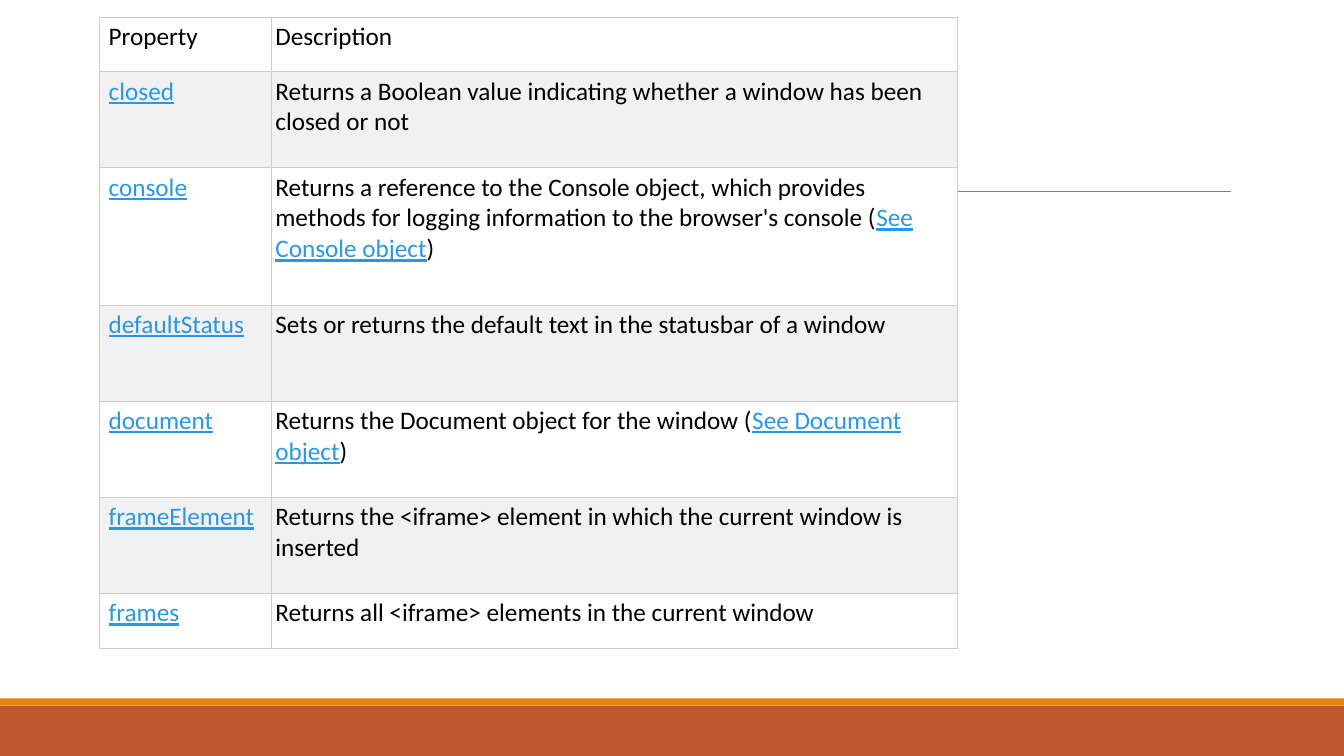
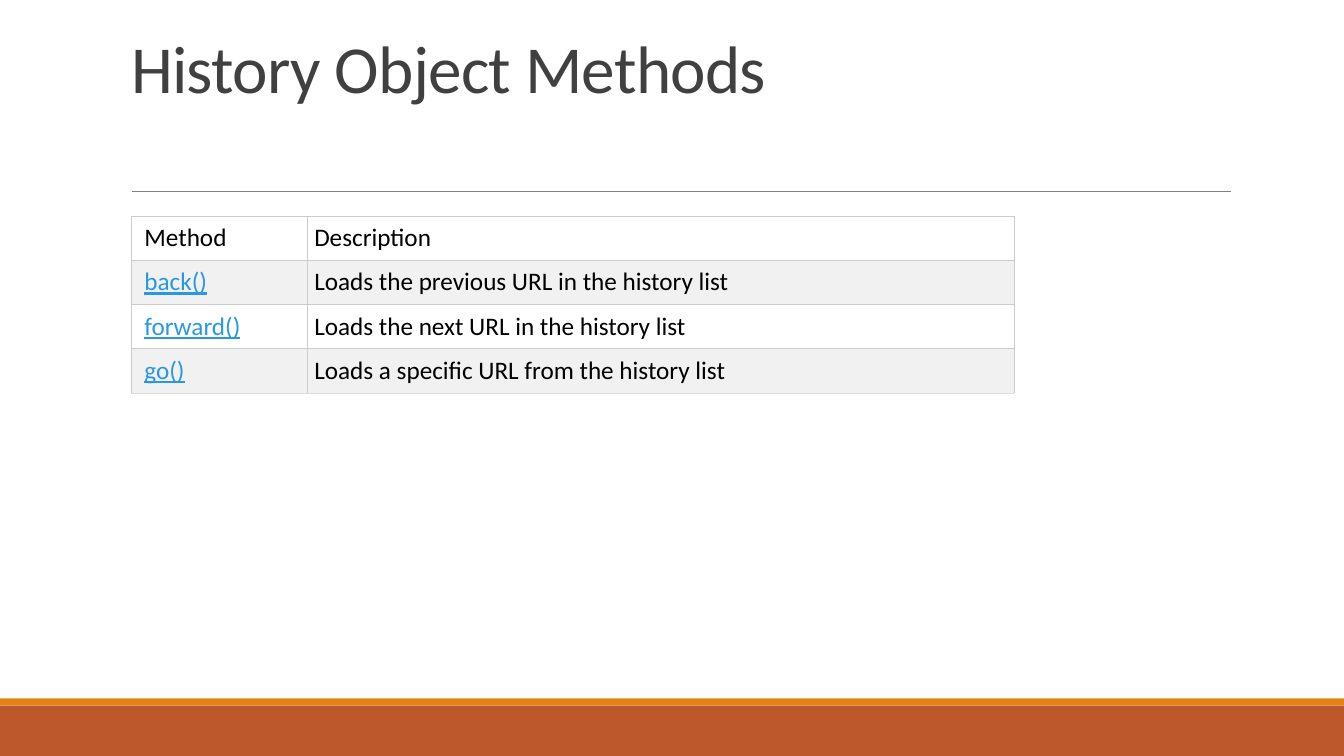
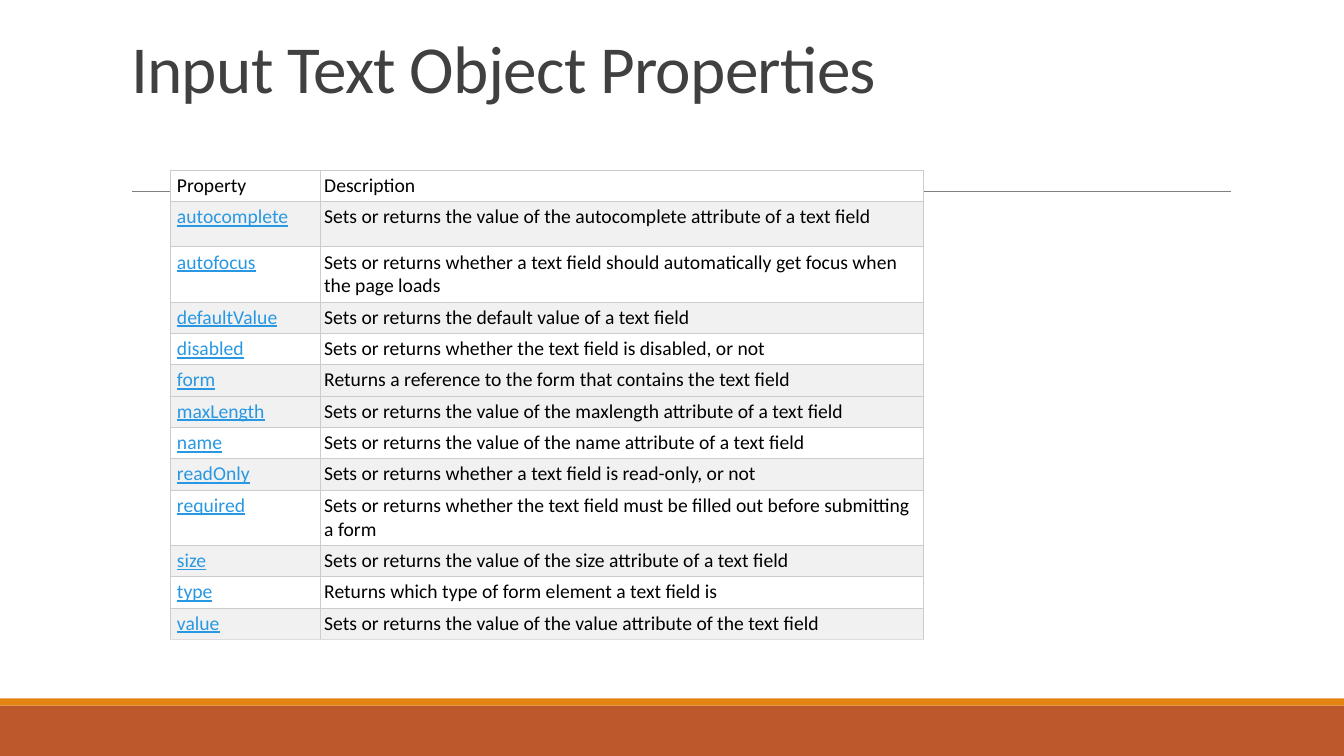
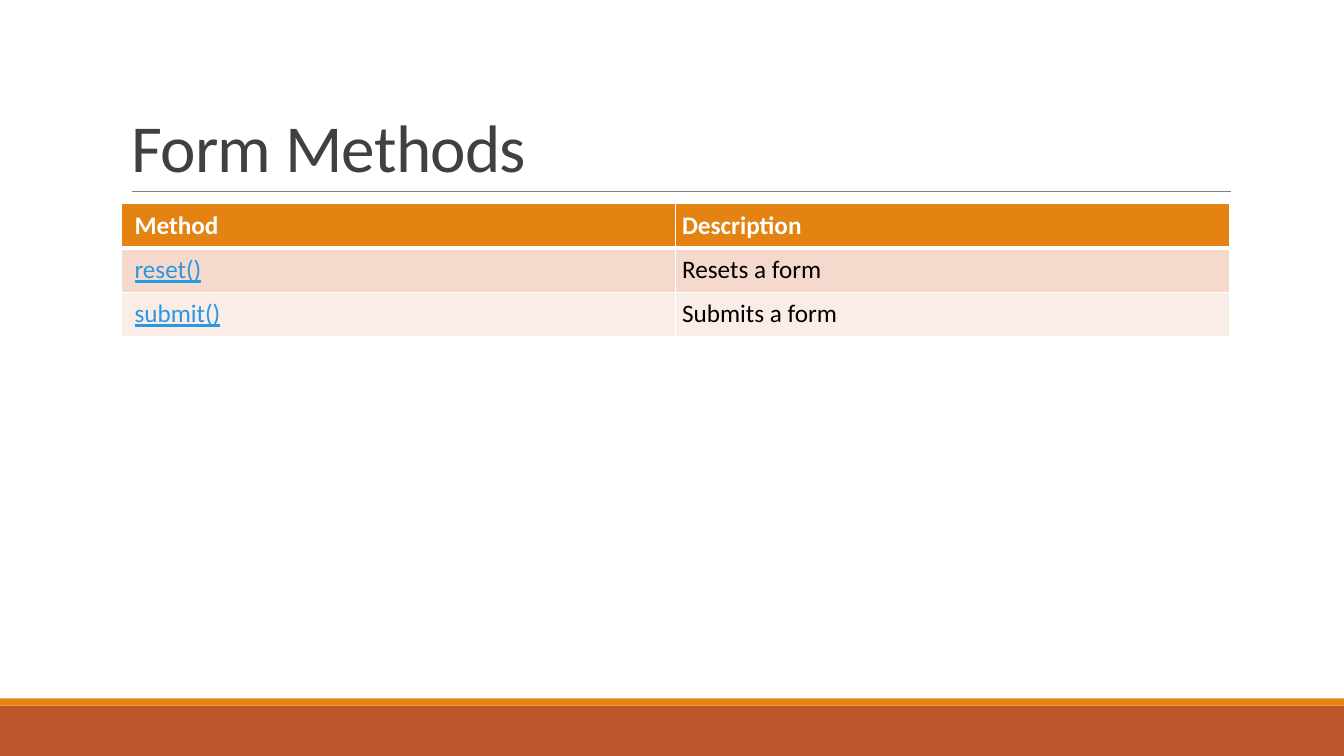
"""Build four reference slides of browser objects with tables on a shared master."""
from dataclasses import dataclass
from typing import Any, Optional

from lxml import etree
from pptx import Presentation
from pptx import util as u
from pptx.dml import color as dml
from pptx.enum import shapes, text
from pptx.oxml import ns

FONT = "Calibri"
WHITE, BLACK, GREY = "FFFFFF", "000000", "F1F1F1"
RUST, ORANGE, RULE = "BD582C", "E48312", "808080"
TITLE_COLOUR, LINK = "404040", "2998E3"
BORDER, LAST_BORDER = "CCCCCC", "DDDDDD"
WIDTH, HEIGHT = 33.87, 19.05
RAISED_TITLE_INSET = 2.13


@dataclass
class Band:
    """A full-width band at the foot of every slide."""
    top: float
    height: float
    fill: str


@dataclass
class TableSpec:
    """Content, geometry in centimetres and look of one table."""
    left: float
    top: float
    columns: tuple[float, float]
    heights: list[float]
    rows: list[tuple[str, str]]
    fills: list[str]
    first_inset: float
    inset: float
    size: int = 18
    border: str = BORDER
    weight: float = 0.6
    last_border: str = BORDER
    header_colour: str = BLACK
    header_bold: bool = False
    header_weight: float = 0.6


@dataclass
class Page:
    """One slide: an optional title and its table."""
    table: TableSpec
    title: Optional[str] = None
    raised: bool = False


BANDS = [Band(17.78, 1.27, RUST), Band(17.6, 0.18, ORANGE)]

WINDOW_ROWS = [
    ("Property", "Description"),
    ("closed", "Returns a Boolean value indicating whether a window has been closed or not"),
    ("console", "Returns a reference to the Console object, which provides methods for logging "
                "information to the browser's console (|See Console object|)"),
    ("defaultStatus", "Sets or returns the default text in the statusbar of a window"),
    ("document", "Returns the Document object for the window (|See Document object|)"),
    ("frameElement", "Returns the <iframe> element in which the current window is inserted"),
    ("frames", "Returns all <iframe> elements in the current window"),
]
HISTORY_ROWS = [
    ("Method", "Description"),
    ("back()", "Loads the previous URL in the history list"),
    ("forward()", "Loads the next URL in the history list"),
    ("go()", "Loads a specific URL from the history list"),
]
INPUT_ROWS = [
    ("Property", "Description"),
    ("autocomplete", "Sets or returns the value of the autocomplete attribute of a text field"),
    ("autofocus", "Sets or returns whether a text field should automatically get focus when "
                  "the page loads"),
    ("defaultValue", "Sets or returns the default value of a text field"),
    ("disabled", "Sets or returns whether the text field is disabled, or not"),
    ("form", "Returns a reference to the form that contains the text field"),
    ("maxLength", "Sets or returns the value of the maxlength attribute of a text field"),
    ("name", "Sets or returns the value of the name attribute of a text field"),
    ("readOnly", "Sets or returns whether a text field is read-only, or not"),
    ("required", "Sets or returns whether the text field must be filled out before submitting "
                 "a form"),
    ("size", "Sets or returns the value of the size attribute of a text field"),
    ("type", "Returns which type of form element a text field is"),
    ("value", "Sets or returns the value of the value attribute of the text field"),
]
FORM_ROWS = [
    ("Method", "Description"),
    ("reset()", "Resets a form"),
    ("submit()", "Submits a form"),
]

PAGES = [
    Page(TableSpec(2.51, 0.43, (4.32, 17.3), [1.38, 2.42, 3.46, 2.42, 2.42, 2.42, 1.38],
                   WINDOW_ROWS, [WHITE, GREY] * 3 + [WHITE], 0.23, 0.11)),
    Page(TableSpec(3.3, 5.44, (4.45, 17.8), [1.1] * 4, HISTORY_ROWS, [WHITE, GREY] * 2,
                   0.34, 0.17, last_border=LAST_BORDER),
         "History Object Methods", raised=True),
    Page(TableSpec(4.29, 4.29, (3.79, 15.19),
                   [0.79, 1.14, 1.39] + [0.79] * 6 + [1.39] + [0.79] * 3,
                   INPUT_ROWS, [WHITE, GREY] * 3 + [GREY, WHITE] * 3 + [GREY],
                   0.17, 0.09, size=14, last_border=LAST_BORDER),
         "Input Text Object Properties", raised=True),
    Page(TableSpec(3.05, 5.13, (13.97, 13.97), [1.1] * 3, FORM_ROWS,
                   [ORANGE, "F5D9CC", "FAEDE7"], 0.34, 0.17, border=WHITE, weight=1,
                   last_border=WHITE, header_colour=WHITE, header_bold=True,
                   header_weight=3),
         "Form Methods"),
]


def colour(value: str) -> dml.RGBColor:
    """Turn a hex string into a colour."""
    return dml.RGBColor.from_string(value)


def apply(target: Any, values: dict[str, Any]) -> None:
    """Set every named attribute on the target."""
    for name, value in values.items():
        setattr(target, name, value)


def add_solid_fill(parent: Any, value: str) -> None:
    """Append a solid fill element."""
    fill = etree.SubElement(parent, ns.qn("a:solidFill"))
    etree.SubElement(fill, ns.qn("a:srgbClr"), val=value)


def style_titles(presentation: Any, layout: Any) -> None:
    """Define the title style on the master and its place on the layout."""
    level = presentation.slide_master.element.find(
        f".//{ns.qn('p:titleStyle')}/{ns.qn('a:lvl1pPr')}")
    level.set("algn", "l")
    spacing = etree.Element(ns.qn("a:lnSpc"))
    etree.SubElement(spacing, ns.qn("a:spcPct"), val="85000")
    level.insert(0, spacing)
    level.remove(level.find(ns.qn("a:defRPr")))
    properties = etree.SubElement(level, ns.qn("a:defRPr"), sz="4800", spc="-50")
    add_solid_fill(properties, TITLE_COLOUR)
    etree.SubElement(properties, ns.qn("a:latin"), typeface=FONT)
    title = layout.placeholders[0]
    apply(title, {"left": u.Cm(3.05), "top": u.Cm(0.79),
                  "width": u.Cm(27.94), "height": u.Cm(4.04)})
    apply(title.text_frame, {"vertical_anchor": text.MSO_ANCHOR.BOTTOM, "word_wrap": True,
                             "auto_size": text.MSO_AUTO_SIZE.NONE})


def furnish_master(presentation: Any, slide: Any) -> None:
    """Draw the bands and the title rule and move them to the master."""
    parts = []
    for band in BANDS:
        shape = slide.shapes.add_shape(shapes.MSO_SHAPE.RECTANGLE, 0, u.Cm(band.top),
                                       u.Cm(WIDTH), u.Cm(band.height))
        shape.shadow.inherit = False
        shape.fill.solid()
        shape.fill.fore_color.rgb = colour(band.fill)
        shape.line.fill.background()
        parts.append(shape)
    rule = slide.shapes.add_connector(shapes.MSO_CONNECTOR.STRAIGHT, u.Cm(3.33), u.Cm(4.82),
                                      u.Cm(31.01), u.Cm(4.82))
    rule.line.color.rgb = colour(RULE)
    rule.line.width = u.Pt(0.5)
    etree.SubElement(rule.element.spPr, ns.qn("a:effectLst"))
    parts.append(rule)
    tree = presentation.slide_master.shapes.element
    for index, part in enumerate(parts):
        part.element.xpath(".//p:cNvPr")[0].set("id", str(100 + index))
        tree.insert(2 + index, part.element)


def set_borders(cell: Any, sides: dict[str, tuple[str, float]]) -> None:
    """Put border lines ahead of the fill in the cell properties."""
    properties = cell._tc.get_or_add_tcPr()
    for index, (side, (value, weight)) in enumerate(sides.items()):
        line = etree.Element(ns.qn(f"a:ln{side}"), w=str(int(u.Pt(weight))))
        add_solid_fill(line, value)
        properties.insert(index, line)


def write_cell(cell: Any, content: str, size: int, base: str, bold: bool) -> None:
    """Write text whose parts between bars look like links."""
    paragraph = cell.text_frame.paragraphs[0]
    for index, part in enumerate(content.split("|")):
        if part:
            linked = index % 2 == 1
            run = paragraph.add_run()
            run.text = part
            apply(run.font, {"name": FONT, "size": u.Pt(size), "bold": bold,
                             "underline": linked})
            run.font.color.rgb = colour(LINK if linked else base)


def draw_table(slide: Any, spec: TableSpec) -> None:
    """Draw a two-column table with its fills, borders and text."""
    table = slide.shapes.add_table(
        len(spec.rows), 2, u.Cm(spec.left), u.Cm(spec.top),
        u.Cm(sum(spec.columns)), u.Cm(sum(spec.heights))).table
    table.horz_banding = False
    for column, width in zip(table.columns, spec.columns):
        column.width = u.Cm(width)
    edge = (spec.border, spec.weight)
    bottoms = [edge] * len(spec.rows)
    bottoms[0] = (spec.border, spec.header_weight)
    bottoms[-1] = (spec.last_border, spec.weight)
    for row, (name, description) in enumerate(spec.rows):
        header = row == 0
        table.rows[row].height = u.Cm(spec.heights[row])
        for column, content in enumerate((name if header else f"|{name}|", description)):
            cell = table.cell(row, column)
            inset = u.Cm(spec.inset)
            apply(cell, {"margin_left": inset if column else u.Cm(spec.first_inset),
                         "margin_top": inset, "margin_right": inset,
                         "margin_bottom": inset})
            cell.fill.solid()
            cell.fill.fore_color.rgb = colour(spec.fills[row])
            set_borders(cell, {"L": edge, "R": edge,
                               "T": edge if header else bottoms[row - 1],
                               "B": bottoms[row]})
            write_cell(cell, content, spec.size, spec.header_colour if header else BLACK,
                       header and spec.header_bold)


def main() -> None:
    """Build and save the presentation."""
    presentation = Presentation()
    apply(presentation, {"slide_width": u.Cm(WIDTH), "slide_height": u.Cm(HEIGHT)})
    title_layout, blank_layout = presentation.slide_layouts[5], presentation.slide_layouts[6]
    style_titles(presentation, title_layout)
    for index, page in enumerate(PAGES):
        slide = presentation.slides.add_slide(title_layout if page.title else blank_layout)
        if index == 0:
            furnish_master(presentation, slide)
        if page.title:
            frame = slide.shapes.title.text_frame
            frame.text = page.title
            if page.raised:
                frame.margin_bottom = u.Cm(RAISED_TITLE_INSET)
        draw_table(slide, page.table)
    presentation.save("out.pptx")


if __name__ == "__main__":
    main()
